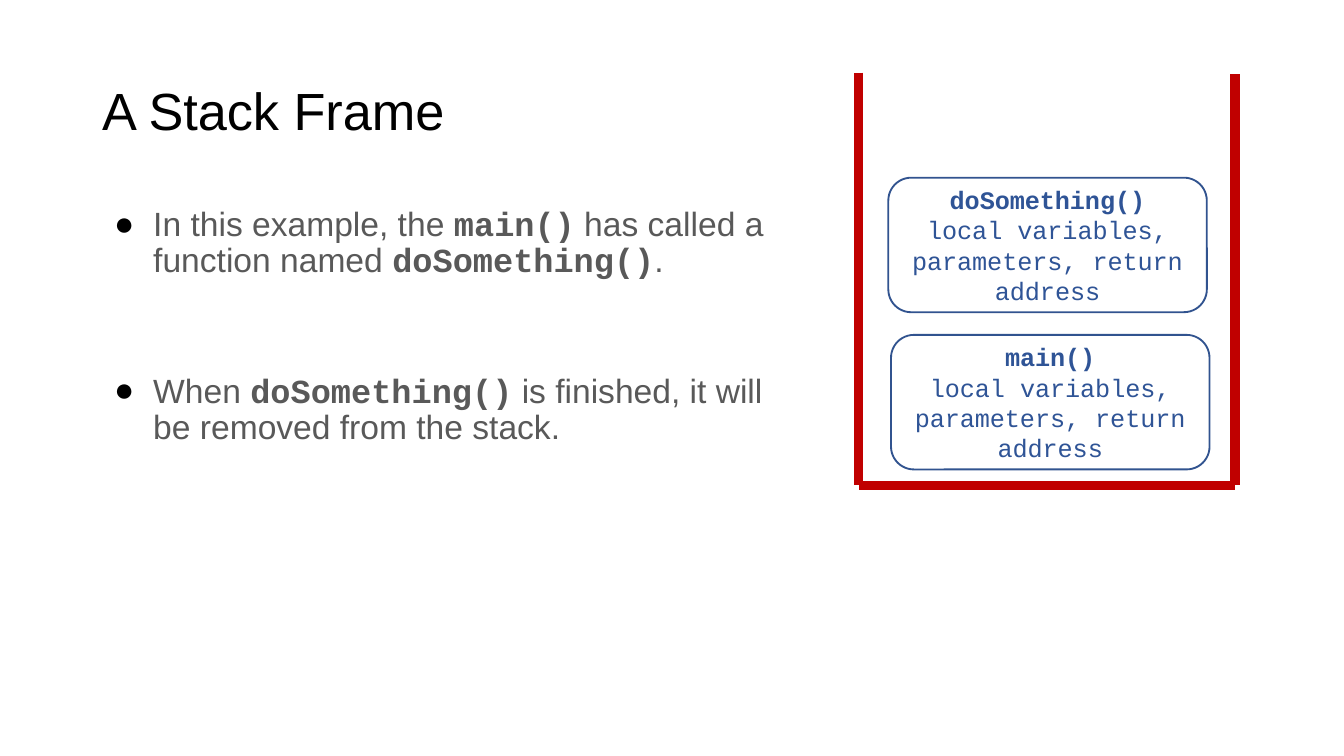
import pptx
import pptx.util
import pptx.dml.color
import pptx.enum.shapes
import pptx.enum.text
import pptx.oxml
import pptx.oxml.ns
import lxml.etree

COLOURS = {"title": "000000", "body": "595959", "bullet": "000000",
           "wall": "C00000", "frame_line": "31538F", "frame_text": "2F5496"}
SANS, MONO = "Arial", "Courier New"
MIDDLE, TOP = pptx.enum.text.MSO_ANCHOR.MIDDLE, pptx.enum.text.MSO_ANCHOR.TOP

# 16:9 slide
deck = pptx.Presentation()
deck.slide_width = pptx.util.Inches(10)
deck.slide_height = deck.slide_width * 9 // 16
slide = deck.slides.add_slide(deck.slide_layouts[1])

# Grid: 100 columns by 100 rows
COL = deck.slide_width / 100
ROW = deck.slide_height / 100


def grid(x1, y1, x2, y2):
    return int(x1 * COL), int(y1 * ROW), int(x2 * COL), int(y2 * ROW)


def style(run, size, face, colour, bold=False):
    run.font.size = pptx.util.Pt(size)
    run.font.name = face
    run.font.bold = bold
    run.font.color.rgb = pptx.dml.color.RGBColor.from_string(COLOURS[colour])


# Title and body placeholders
title, body = slide.shapes.title, slide.placeholders[1]
for holder, place, anchor in [(title, grid(6.9, 5.3, 86.2, 19.4), MIDDLE),
                              (body, grid(6.9, 26.7, 52, 63.5), TOP)]:
    holder.left, holder.top, holder.width, holder.height = place
    holder.text_frame.vertical_anchor = anchor
    holder.text_frame.auto_size = pptx.enum.text.MSO_AUTO_SIZE.NONE
    holder.text_frame.word_wrap = True

title.text_frame.text = "A Stack Frame"
heading = title.text_frame.paragraphs[0]
heading.alignment = pptx.enum.text.PP_ALIGN.LEFT
heading.line_spacing = 0.9
style(heading.runs[0], 28, SANS, "title")

# Bullets: every second piece is code
points = [
    ["In this example, the ", "main()", " has called a function named ",
     "doSomething()", "."],
    ["When ", "doSomething()", " is finished, it will be removed from the stack."],
]
for number, pieces in enumerate(points):
    point = body.text_frame.add_paragraph() if number else body.text_frame.paragraphs[0]
    props = point._p.get_or_add_pPr()
    props.set("marL", str(pptx.util.Inches(0.38)))
    props.set("indent", str(pptx.util.Inches(-0.29)))
    bullet_colour = lxml.etree.SubElement(props, pptx.oxml.ns.qn("a:buClr"))
    lxml.etree.SubElement(bullet_colour, pptx.oxml.ns.qn("a:srgbClr"), val=COLOURS["bullet"])
    lxml.etree.SubElement(props, pptx.oxml.ns.qn("a:buFont"), typeface=SANS)
    lxml.etree.SubElement(props, pptx.oxml.ns.qn("a:buChar"), char="●")
    point.line_spacing = 0.9
    point.space_before = pptx.util.Pt(50.5 if number else 0)
    for index, piece in enumerate(pieces):
        run = point.add_run()
        run.text = piece
        is_code = index % 2 == 1
        style(run, 18, MONO if is_code else SANS, "body", is_code)

# Stack walls and floor
LEFT_WALL, RIGHT_WALL, FLOOR = 63.9, 91.9, 64.2
for ends in [(LEFT_WALL, 9.6, LEFT_WALL, FLOOR),
             (RIGHT_WALL, 9.8, RIGHT_WALL, FLOOR),
             (LEFT_WALL, FLOOR, RIGHT_WALL, FLOOR)]:
    wall = slide.shapes.add_connector(pptx.enum.shapes.MSO_CONNECTOR.STRAIGHT, *grid(*ends))
    wall.line.width = pptx.util.Pt(5)
    wall.line.color.rgb = pptx.dml.color.RGBColor.from_string(COLOURS["wall"])
    lxml.etree.SubElement(wall._element.spPr, pptx.oxml.ns.qn("a:effectLst"))

# Stack frames, bottom first
frames = []
for call, left, row in [("main()", 66.3, 44.3), ("doSomething()", 66.1, 23.5)]:
    frame = slide.shapes.add_shape(pptx.enum.shapes.MSO_SHAPE.ROUNDED_RECTANGLE,
                                   *grid(left, row, 23.7, 17.8))
    frames.append(frame)
    frame.adjustments[0] = 0.17
    frame.shadow.inherit = False
    frame.fill.background()
    frame.line.width = pptx.util.Pt(1)
    frame.line.color.rgb = pptx.dml.color.RGBColor.from_string(COLOURS["frame_line"])
    frame.text_frame.word_wrap = True
    frame.text_frame.vertical_anchor = MIDDLE
    frame.text_frame.text = call + "\nlocal variables, parameters, return address"
    for index, line in enumerate(frame.text_frame.paragraphs):
        line.alignment = pptx.enum.text.PP_ALIGN.CENTER
        style(line.runs[0], 13.5, MONO, "frame_text", index == 0)

# Shared text margins
for part in [title, body, *frames]:
    part.text_frame.margin_left = part.text_frame.margin_right = pptx.util.Inches(0.07)
    part.text_frame.margin_top = part.text_frame.margin_bottom = pptx.util.Inches(0.04)

deck.save("out.pptx")
